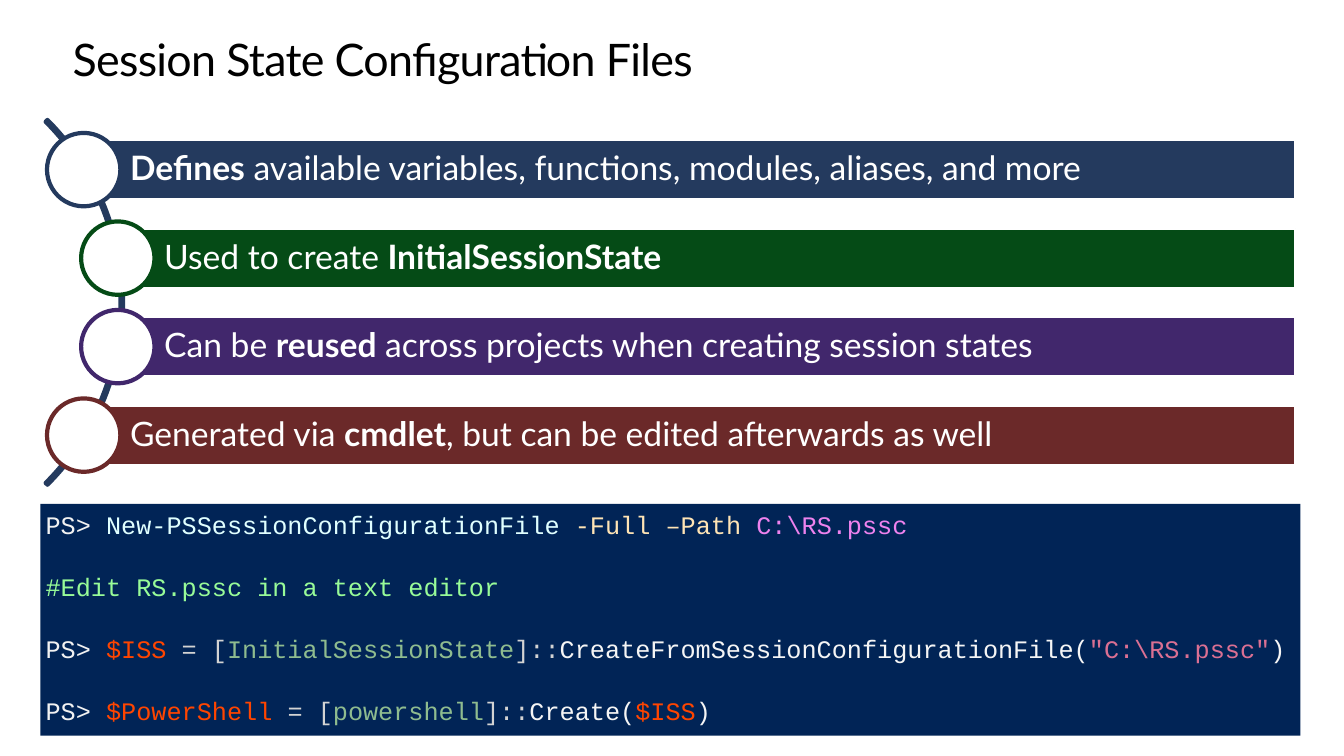
import pptx
import pptx.dml.color
import pptx.enum.shapes
import pptx.enum.text
import pptx.util

Cm = pptx.util.Cm
Pt = pptx.util.Pt
Shape = pptx.enum.shapes.MSO_SHAPE
Anchor = pptx.enum.text.MSO_ANCHOR

TITLE = "Session State Configuration Files"
WHITE, NAVY, CONSOLE = "FFFFFF", "243A5E", "012456"

# (color, indented, [(text, bold), ...])
POINTS = [
    (NAVY, False, [("Defines", True),
                   (" available variables, functions, modules, aliases, and more", False)]),
    ("054B16", True, [("Used to create ", False), ("InitialSessionState", True)]),
    ("41276C", True, [("Can be ", False), ("reused", True),
                      (" across projects when creating session states", False)]),
    ("6B2929", False, [("Generated via ", False), ("cmdlet", True),
                       (", but can be edited afterwards as well", False)]),
]

SYNTAX = {
    "prompt": "F2F2F2", "cmdlet": "E0FFFF", "parameter": "FFE4B5", "argument": "EE82EE",
    "comment": "98FB98", "variable": "FF4500", "operator": "D3D3D3", "type": "8FBC8F",
    "member": "F5F5F5", "string": "DB7093",
}
CODE = [
    [("PS> ", "prompt"), ("New-PSSessionConfigurationFile ", "cmdlet"),
     ("-Full –Path ", "parameter"), ("C:\\RS.pssc", "argument")],
    [("#Edit RS.pssc in a text editor", "comment")],
    [("PS> ", "prompt"), ("$ISS ", "variable"), ("= [", "operator"),
     ("InitialSessionState", "type"), ("]::", "operator"),
     ("CreateFromSessionConfigurationFile(", "member"),
     ("\"C:\\RS.pssc\"", "string"), (")", "member")],
    [("PS> ", "prompt"), ("$PowerShell ", "variable"), ("= [", "operator"),
     ("powershell", "type"), ("]::", "operator"), ("Create(", "member"),
     ("$ISS", "variable"), (")", "member")],
]

# Lengths in cm
ARC_X, ARC_Y, ARC_SIZE = -3.4, 7.62, 13
BAR_LEFT, BAR_INDENT, BAR_RIGHT, BAR_HEIGHT = 2.11, 0.86, 32.64, 1.47
ROW_PITCH, CIRCLE_SIZE = 2.23, 1.85


def rgb(color):
    return pptx.dml.color.RGBColor.from_string(color)


def add_block(slide, kind, left, top, width, height, fill=None, line=None, line_width=1):
    block = slide.shapes.add_shape(kind, Cm(left), Cm(top), Cm(width), Cm(height))
    block.shadow.inherit = False
    if fill:
        block.fill.solid()
        block.fill.fore_color.rgb = rgb(fill)
    else:
        block.fill.background()
    if line:
        block.line.color.rgb = rgb(line)
        block.line.width = Pt(line_width)
    else:
        block.line.fill.background()
    return block


def set_frame(frame, anchor, left, top, right, bottom):
    """Set wrapping, vertical anchor and insets in cm."""
    frame.word_wrap = True
    frame.vertical_anchor = anchor
    frame.margin_left, frame.margin_top = Cm(left), Cm(top)
    frame.margin_right, frame.margin_bottom = Cm(right), Cm(bottom)


def add_run(paragraph, text, font_name, size, color, bold=False):
    paragraph.alignment = pptx.enum.text.PP_ALIGN.LEFT
    run = paragraph.add_run()
    run.text = text
    run.font.name = font_name
    run.font.size = Pt(size)
    run.font.bold = bold
    run.font.color.rgb = rgb(color)
    return run


def add_title(slide):
    title = slide.shapes.add_textbox(Cm(1.83), Cm(0.89), Cm(30.23), Cm(1.27))
    set_frame(title.text_frame, Anchor.TOP, 0, 0, 0, 0)
    paragraph = title.text_frame.paragraphs[0]
    paragraph.line_spacing = Pt(36.2)
    run = add_run(paragraph, TITLE, "Lato", 32, "000000")
    run.font._element.set("spc", "-50")


def add_points(slide):
    arc = add_block(slide, Shape.BLOCK_ARC, ARC_X - ARC_SIZE / 2, ARC_Y - ARC_SIZE / 2,
                    ARC_SIZE, ARC_SIZE, line=NAVY, line_width=3)
    for index, value in enumerate((189, 27, 0.005)):
        arc.adjustments[index] = value

    for row, (color, indented, parts) in enumerate(POINTS):
        left = BAR_LEFT + BAR_INDENT * indented
        middle = ARC_Y + (row - (len(POINTS) - 1) / 2) * ROW_PITCH
        bar = add_block(slide, Shape.RECTANGLE, left, middle - BAR_HEIGHT / 2,
                        BAR_RIGHT - left, BAR_HEIGHT, color, WHITE)
        set_frame(bar.text_frame, Anchor.MIDDLE, 1.17, 0.18, 0.18, 0.18)
        paragraph = bar.text_frame.paragraphs[0]
        paragraph.line_spacing = 0.9
        for text, bold in parts:
            add_run(paragraph, text, "Lato", 24, WHITE, bold)
        add_block(slide, Shape.OVAL, left - CIRCLE_SIZE / 2, middle - CIRCLE_SIZE / 2,
                  CIRCLE_SIZE, CIRCLE_SIZE, WHITE, color, 3)


def add_console(slide):
    console = add_block(slide, Shape.RECTANGLE, 1.02, 12.7, 31.75, 5.84, CONSOLE)
    frame = console.text_frame
    set_frame(frame, Anchor.TOP, 0.13, 0.13, 0.13, 0.13)
    for number, tokens in enumerate(CODE):
        paragraph = frame.add_paragraph() if number else frame.paragraphs[0]
        paragraph.space_before = Pt(22.7 if number else 0)
        for text, role in tokens:
            add_run(paragraph, text, "Courier New", 18, SYNTAX[role])


def main():
    deck = pptx.Presentation()
    deck.slide_width, deck.slide_height = Cm(33.87), Cm(19.05)
    slide = deck.slides.add_slide(deck.slide_layouts[6])
    add_title(slide)
    add_points(slide)
    add_console(slide)
    deck.save("out.pptx")


if __name__ == "__main__":
    main()
